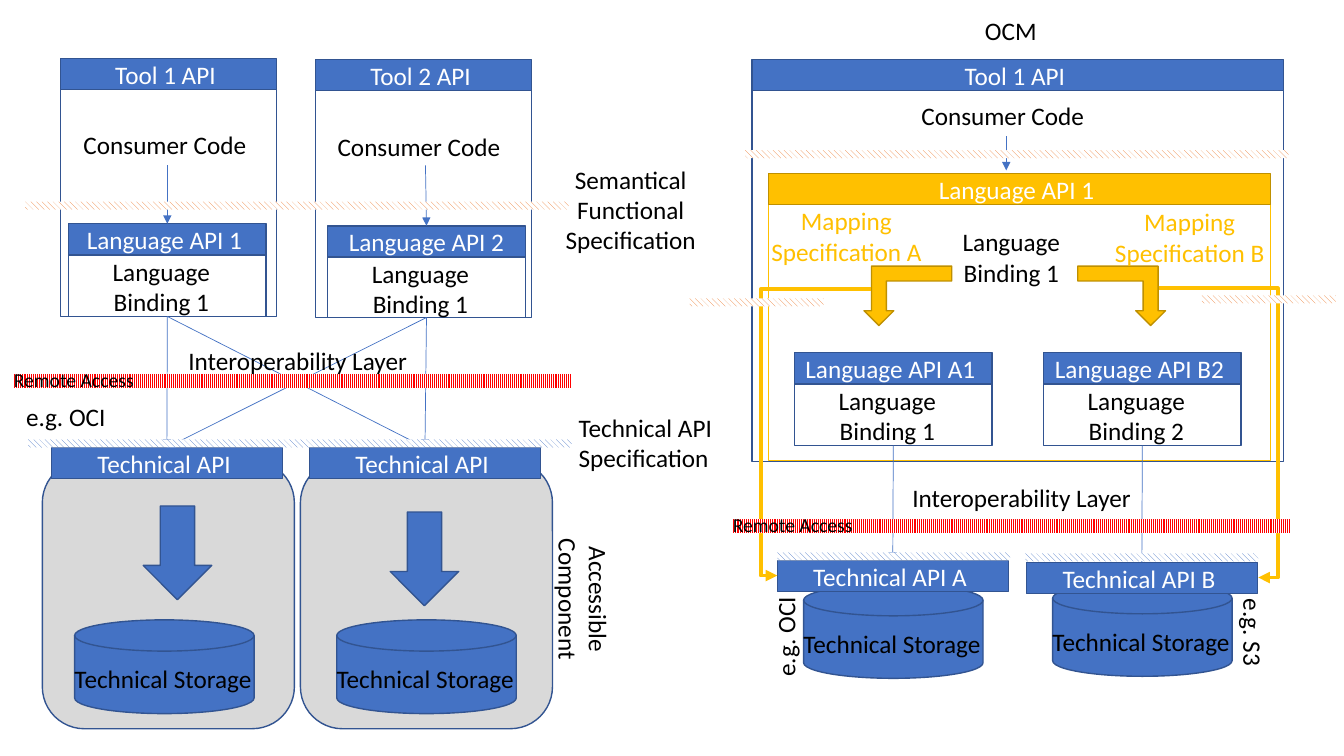
from dataclasses import dataclass

from lxml import etree
from pptx import Presentation
from pptx.dml.color import RGBColor
from pptx.enum.dml import MSO_PATTERN
from pptx.enum.shapes import MSO_CONNECTOR, MSO_SHAPE
from pptx.enum.text import MSO_ANCHOR, MSO_AUTO_SIZE, PP_ALIGN
from pptx.oxml.ns import qn
from pptx.util import Emu, Pt

EMU_PER_PX = 9144  # 100 px to the inch
HEADER_HEIGHT = 31
BLUE, NAVY, GOLD, DARK_GOLD = "4472C4", "325491", "FFC000", "BF9000"
ORANGE, RED, GREY, BLACK, WHITE = "ED7D31", "FF0000", "D9D9D9", "000000", "FFFFFF"
RECTANGLE, ROUNDED = MSO_SHAPE.RECTANGLE, MSO_SHAPE.ROUNDED_RECTANGLE
DISK, DOWN_ARROW = MSO_SHAPE.FLOWCHART_MAGNETIC_DISK, MSO_SHAPE.DOWN_ARROW
BENT_ARROW = MSO_SHAPE.BENT_UP_ARROW
STRAIGHT, ELBOW = MSO_CONNECTOR.STRAIGHT, MSO_CONNECTOR.ELBOW
DIAGONAL, VERTICAL = MSO_PATTERN.WIDE_DOWNWARD_DIAGONAL, MSO_PATTERN.NARROW_VERTICAL
LEFT, CENTER = PP_ALIGN.LEFT, PP_ALIGN.CENTER
TOP_SIDE, BOTTOM_SIDE = 0, 2


@dataclass
class Panel:
    """A titled frame: a filled header above an open body."""
    left: int
    top: int
    width: int
    body_height: int
    title: str
    binding: str = ""
    fill: str = BLUE
    header_line: str = NAVY
    body_line: str = NAVY


@dataclass
class Storage:
    """A technical interface with its storage disk."""
    left: int
    top: int
    title: str
    disk_left: int
    disk_top: int


@dataclass
class Strip:
    left: int
    top: int
    width: int
    color: str
    height: int = 8
    pattern: MSO_PATTERN = DIAGONAL


@dataclass
class Label:
    left: int
    top: int
    width: int
    height: int
    text: str
    align: PP_ALIGN = LEFT
    color: str = BLACK
    size: int = 18
    rotation: int = 0


TOOLS = [
    Panel(60, 58, 214, 225, "Tool 1 API "),
    Panel(313, 59, 214, 225, "Tool 2 API "),
    Panel(746, 59, 527, 368, "Tool 1 API "),
    Panel(762, 172, 498, 254, "Language API 1 ", fill=GOLD,
          header_line=DARK_GOLD, body_line=GOLD),
]
LANGUAGES = [
    Panel(68, 222, 196, 61, "Language API 1 ", "Binding 1"),
    Panel(325, 224, 196, 60, "Language API 2", "Binding 1"),
    Panel(788, 350, 196, 61, "Language API A1 ", "Binding 1"),
    Panel(1035, 350, 196, 61, "Language API B2 ", "Binding 2"),
]
STORAGES = [
    Storage(51, 444, "Technical API ", 74, 615),
    Storage(307, 444, "Technical API ", 334, 615),
    Storage(771, 556, "Technical API A ", 797, 580),
    Storage(1018, 558, "Technical API B ", 1044, 578),
]
# Indexes of language panel and storage joined by an arrow
CALLS = [(0, 0), (0, 1), (1, 0), (1, 1), (2, 2), (3, 3)]
STRIPS = [
    Strip(28, 436, 539, BLUE), Strip(771, 548, 231, BLUE), Strip(1017, 549, 231, BLUE),
    Strip(25, 200, 539, ORANGE), Strip(739, 149, 539, ORANGE),
    Strip(684, 296, 133, ORANGE), Strip(1192, 293, 133, ORANGE),
    Strip(12, 371, 554, RED, 14, VERTICAL), Strip(725, 515, 554, RED, 14, VERTICAL),
]
LABELS = [
    Label(73, 123, 184, 40, "Consumer Code"),
    Label(325, 125, 184, 40, "Consumer Code"),
    Label(904, 95, 184, 40, "Consumer Code"),
    Label(967, 10, 72, 40, "OCM"),
    Label(944, 220, 118, 71, "Language\nBinding 1", CENTER),
    Label(564, 404, 154, 71, "Technical API\nSpecification"),
    Label(550, 158, 151, 101, "Semantical\nFunctional\nSpecification", CENTER),
    Label(508, 559, 141, 71, "Accessible\nComponent", CENTER, rotation=90),
    Label(754, 199, 171, 71, "Mapping\nSpecification A", CENTER, GOLD),
    Label(1095, 200, 170, 71, "Mapping\nSpecification B", CENTER, GOLD),
    Label(177, 338, 239, 40, "Interoperability Layer"),
    Label(895, 474, 239, 40, "Interoperability Layer"),
    Label(16, 393, 100, 40, "e.g. OCI"),
    Label(729, 611, 100, 40, "e.g. OCI", rotation=270),
    Label(1199, 608, 88, 40, "e.g. S3", rotation=90),
    Label(4, 360, 140, 34, "Remote Access", size=14),
    Label(717, 504, 140, 34, "Remote Access", size=14),
]


def px(value: int) -> Emu:
    return Emu(value * EMU_PER_PX)


def rgb(color: str) -> RGBColor:
    return RGBColor.from_string(color)


def write_text(shape, text: str, *, color=BLACK, size=18, align=LEFT) -> None:
    for index, line in enumerate(text.split("\n")):
        frame = shape.text_frame
        paragraph = frame.add_paragraph() if index else frame.paragraphs[0]
        paragraph.alignment = align
        run = paragraph.add_run()
        run.text = line
        run.font.name, run.font.size = "Calibri", Pt(size)
        run.font.color.rgb = rgb(color)


def add_label(slide, label: Label) -> None:
    box = slide.shapes.add_textbox(*map(px, (label.left, label.top, label.width, label.height)))
    box.rotation = label.rotation
    box.text_frame.word_wrap = False
    box.text_frame.auto_size = MSO_AUTO_SIZE.SHAPE_TO_FIT_TEXT
    write_text(box, label.text, color=label.color, size=label.size, align=label.align)


def add_block(slide, kind, left, top, width, height, fill="", line=NAVY, title=""):
    shape = slide.shapes.add_shape(kind, px(left), px(top), px(width), px(height))
    shape.shadow.inherit = False
    if fill:
        shape.fill.solid()
        shape.fill.fore_color.rgb = rgb(fill)
    else:
        shape.fill.background()
    shape.line.color.rgb = rgb(line)
    shape.line.width = Pt(1)
    if title:
        shape.text_frame.vertical_anchor = MSO_ANCHOR.MIDDLE
        write_text(shape, title, color=WHITE, align=CENTER)
    return shape


def add_panel(slide, panel: Panel):
    body_top = panel.top + HEADER_HEIGHT
    body = add_block(slide, RECTANGLE, panel.left, body_top, panel.width,
                     panel.body_height, line=panel.body_line)
    header = add_block(slide, RECTANGLE, panel.left, panel.top, panel.width,
                       HEADER_HEIGHT, panel.fill, panel.header_line, panel.title)
    if panel.binding:
        add_label(slide, Label(panel.left + 33, panel.top + 27, 118, 71,
                               f"Language\n{panel.binding}", CENTER))
    return header, body


def add_storage(slide, storage: Storage):
    add_block(slide, DISK, storage.disk_left, storage.disk_top, 178, 93, BLUE)
    add_label(slide, Label(storage.disk_left - 10, storage.disk_top + 38, 198, 40,
                           "Technical Storage"))
    return add_block(slide, RECTANGLE, storage.left, storage.top, 229, HEADER_HEIGHT,
                     BLUE, title=storage.title)


def add_strip(slide, strip: Strip) -> None:
    shape = add_block(slide, RECTANGLE, strip.left, strip.top, strip.width, strip.height)
    shape.fill.patterned()
    shape.fill.pattern = strip.pattern
    shape.fill.fore_color.rgb = rgb(strip.color)
    shape.fill.back_color.rgb = rgb(WHITE)
    shape.line.fill.background()


def add_arrow(slide, begin=(0, 0), end=(0, 0), *, kind=STRAIGHT, color=BLUE, width=0.5,
              source=None, target=None, bend=0):
    arrow = slide.shapes.add_connector(kind, *map(px, (*begin, *end)))
    if source is not None:
        arrow.begin_connect(source, BOTTOM_SIDE)
    if target is not None:
        arrow.end_connect(target, TOP_SIDE)
    arrow.line.color.rgb = rgb(color)
    arrow.line.width = Pt(width)
    properties = arrow.element.spPr
    etree.SubElement(properties.find(qn("a:ln")), qn("a:tailEnd"), type="triangle")
    etree.SubElement(properties, qn("a:effectLst"))
    if bend:
        guides = properties.find(qn("a:prstGeom")).find(qn("a:avLst"))
        etree.SubElement(guides, qn("a:gd"), name="adj1", fmla=f"val {bend}")


def main() -> None:
    presentation = Presentation()
    presentation.slide_width, presentation.slide_height = px(1333), px(750)
    slide = presentation.slides.add_slide(presentation.slide_layouts[6])

    # Accessible components, storages and panels
    for left in (42, 298):
        add_block(slide, ROUNDED, left, 457, 250, 266, GREY)
    interfaces = [add_storage(slide, storage) for storage in STORAGES]
    for left, top in ((142, 502), (387, 508)):
        add_block(slide, DOWN_ARROW, left, top, 68, 93, BLUE)
    for tool in TOOLS:
        add_panel(slide, tool)
    languages = [add_panel(slide, language) for language in LANGUAGES]

    # Calls from consumer code down to the technical interfaces
    for (header, _), middle in zip(languages, (166, 422)):
        add_arrow(slide, (middle, 164), target=header)
    add_arrow(slide, (998, 135), (998, 169))
    for language, interface in CALLS:
        add_arrow(slide, source=languages[language][1], target=interfaces[interface])

    # Mapping arrows
    for left, flips in ((1069, ("flipV",)), (857, ("flipH", "flipV"))):
        arrow = add_block(slide, BENT_ARROW, left, 264, 87, 59, GOLD, DARK_GOLD)
        for flip in flips:
            arrow.element.spPr.find(qn("a:xfrm")).set(flip, "1")
    for begin, end, bend in (((864, 287), (771, 571), 117800),
                             ((1149, 286), (1248, 573), 119400)):
        add_arrow(slide, begin, end, kind=ELBOW, color=GOLD, width=2.75, bend=bend)

    # Specification boundaries, remote access bars and labels
    for strip in STRIPS:
        add_strip(slide, strip)
    for label in LABELS:
        add_label(slide, label)

    presentation.save("out.pptx")


if __name__ == "__main__":
    main()
